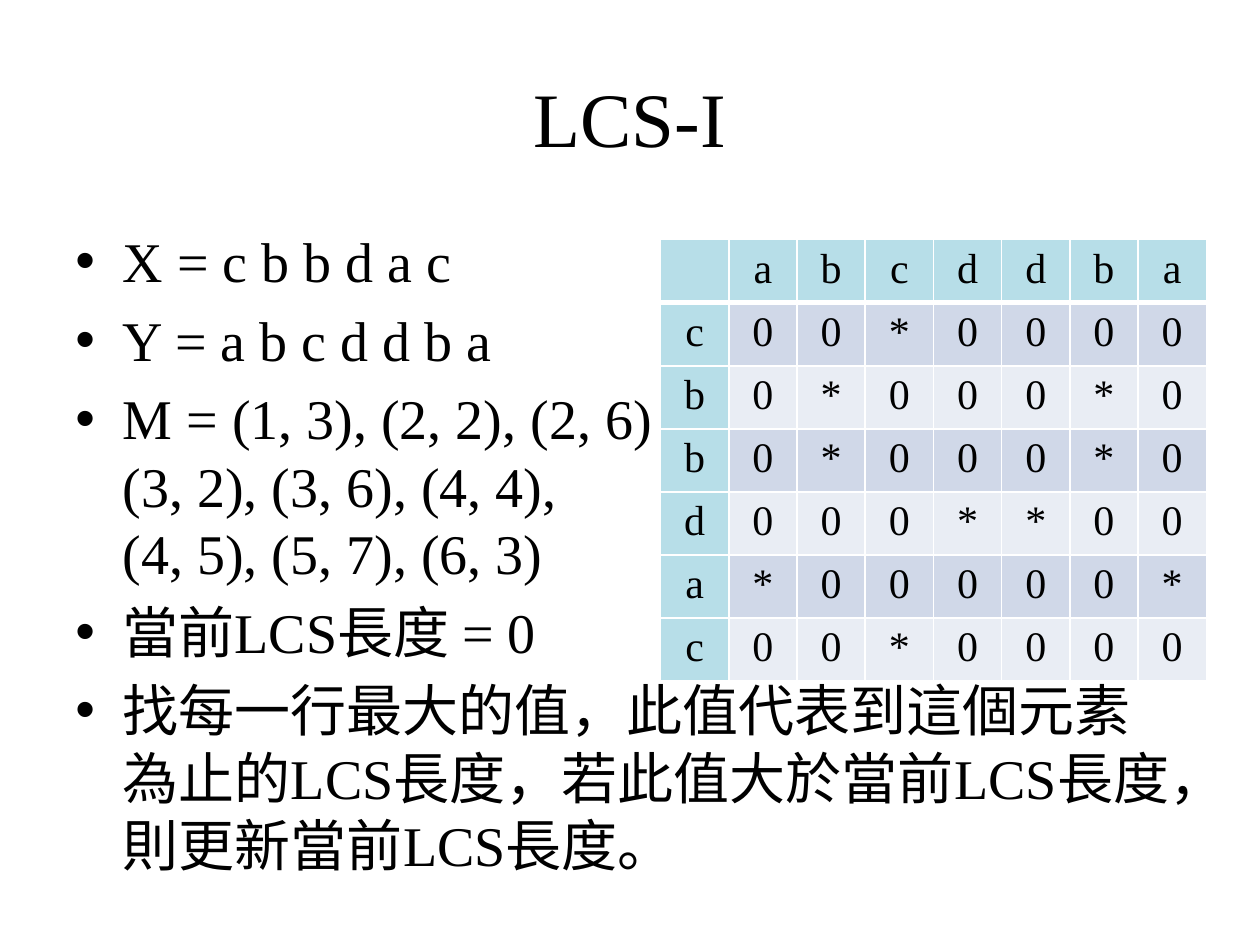
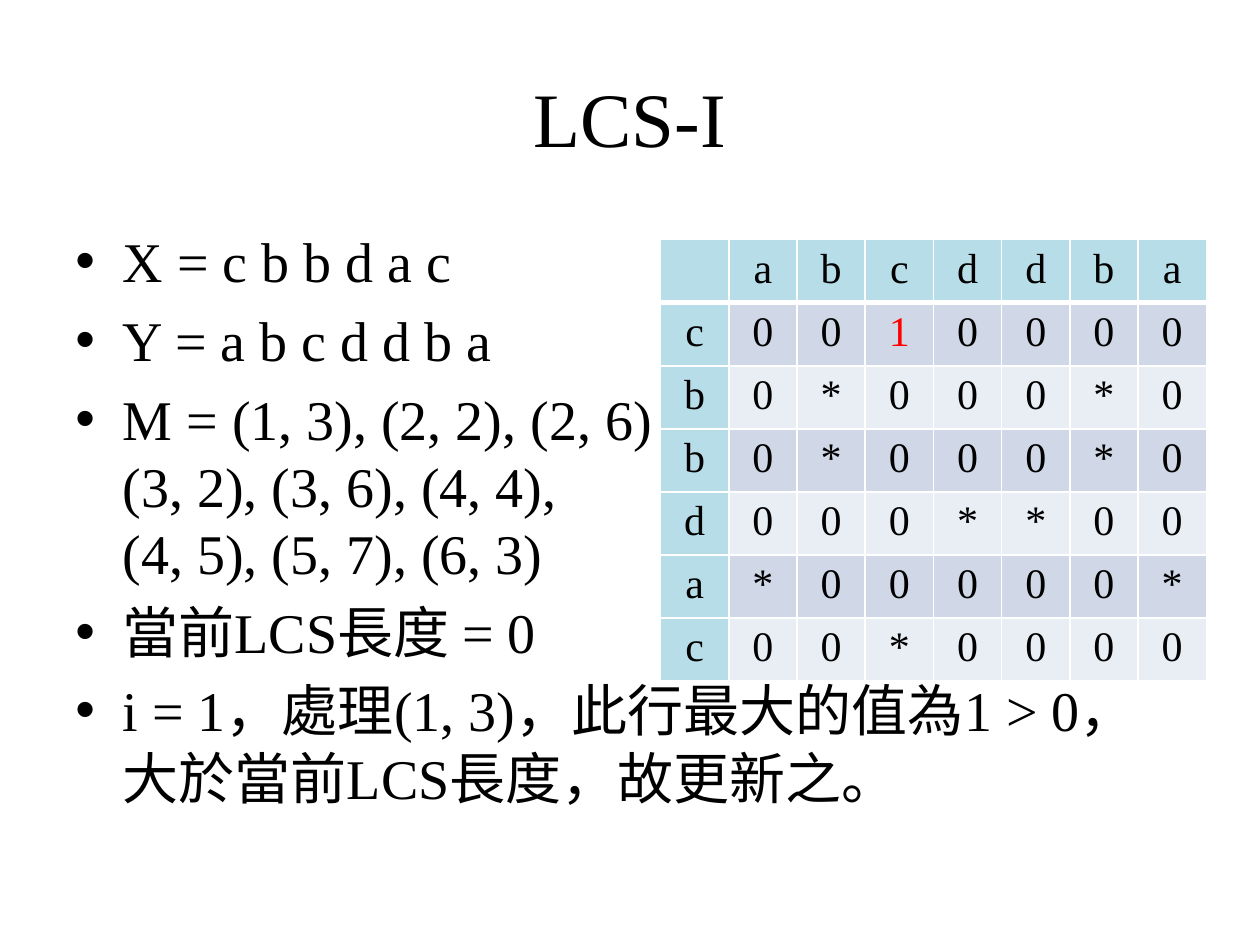
from lxml import etree
from pptx import Presentation
from pptx.dml.color import RGBColor
from pptx.enum.text import MSO_ANCHOR, PP_ALIGN
from pptx.oxml import parse_xml
from pptx.oxml.ns import nsdecls, qn
from pptx.util import Pt

MID = MSO_ANCHOR.MIDDLE
CENTER = PP_ALIGN.CENTER
TITLE_ONLY = 5

HUES = {"ink": "000000", "line": "FFFFFF", "head": "B7DEE8",
        "odd": "D0D8E8", "even": "E9EDF4", "hot": "FF0000"}
FACE = "Times New Roman"
X = "cbbdac"
Y = "abcddba"
FACTS = [
    "X = " + " ".join(X),
    "Y = " + " ".join(Y),
    "M = (1, 3), (2, 2), (2, 6)\v(3, 2), (3, 6), (4, 4),\v(4, 5), (5, 7), (6, 3)",
    "當前LCS長度 = 0",
]
STEPS = [
    ("找每一行最大的值，此值代表到這個元素為止的LCS長度，"
     "若此值大於當前LCS長度，則更新當前LCS長度。", 399, {}),
    ("i = 1，處理(1, 3)，此行最大的值為1 > 0，大於當前LCS長度，故更新之。",
     356.4, {(1, 3): "1"}),
]


def apply(item, **vals):
    for name, val in vals.items():
        setattr(item, name, val)


class Deck:
    def __init__(self):
        self.prs = Presentation()
        apply(self.prs, slide_width=Pt(720), slide_height=Pt(540))
        self.slide = None

    def ink(self, para, size, hue="ink"):
        apply(para.font, name=FACE, size=Pt(size))
        para.font.color.rgb = RGBColor.from_string(HUES[hue])

    def title(self, text):
        layout = self.prs.slide_layouts[TITLE_ONLY]
        self.slide = self.prs.slides.add_slide(layout)
        shape = self.slide.shapes.title
        apply(shape, left=Pt(36), top=Pt(21.6), width=Pt(648), height=Pt(90))
        apply(shape.text_frame, text=text, vertical_anchor=MID)
        para = shape.text_frame.paragraphs[0]
        para.alignment = CENTER
        self.ink(para, 44)

    def bullets(self, lines, high):
        box = self.slide.shapes.add_textbox(Pt(36), Pt(126), Pt(648), Pt(high))
        frame = box.text_frame
        frame.word_wrap = True
        for num, line in enumerate(lines):
            para = frame.add_paragraph() if num else frame.paragraphs[0]
            para.text = line
            props = para._p.get_or_add_pPr()
            apply(para, line_spacing=Pt(38.5), space_before=Pt(6.4 if num else 0))
            props.set("marL", str(Pt(27)))
            props.set("indent", str(-Pt(27)))
            font = etree.SubElement(props, qn("a:buFont"))
            font.set("typeface", "Arial")
            etree.SubElement(props, qn("a:buChar")).set("char", "•")
            self.ink(para, 32)

    def border(self, cell, low):
        props = cell._tc.get_or_add_tcPr()
        sides = {"L": 1, "R": 1, "T": 1, "B": low}
        for spot, (side, wide) in enumerate(sides.items()):
            props.insert(spot, parse_xml(
                f'<a:ln{side} {nsdecls("a")} w="{Pt(wide)}"><a:solidFill>'
                f'<a:srgbClr val="{HUES["line"]}"/></a:solidFill></a:ln{side}>'))

    def cell(self, cell, text, fill, hue, low):
        cell.text = text
        para = cell.text_frame.paragraphs[0]
        para.alignment = CENTER
        self.ink(para, 24, hue)
        cell.fill.solid()
        cell.fill.fore_color.rgb = RGBColor.from_string(HUES[fill])
        self.border(cell, low)

    def grid(self, marks):
        rows, cols = len(X) + 1, len(Y) + 1
        table = self.slide.shapes.add_table(
            rows, cols, Pt(377.5), Pt(137), Pt(39 * cols), Pt(34.56 * rows)).table
        for col in table.columns:
            col.width = Pt(39)
        for row in range(rows):
            table.rows[row].height = Pt(34.56)
            for col in range(cols):
                if row and col:
                    text = "*" if X[row - 1] == Y[col - 1] else "0"
                    fill = "odd" if row % 2 else "even"
                else:
                    text = X[row - 1] if row else Y[col - 1] if col else ""
                    fill = "head"
                hue = "hot" if (row, col) in marks else "ink"
                text = marks.get((row, col), text)
                self.cell(table.cell(row, col), text, fill, hue, 1 if row else 3)


def main():
    deck = Deck()
    for step, high, marks in STEPS:
        deck.title("LCS-I")
        deck.bullets(FACTS + [step], high)
        deck.grid(marks)
    deck.prs.save("out.pptx")


if __name__ == "__main__":
    main()
